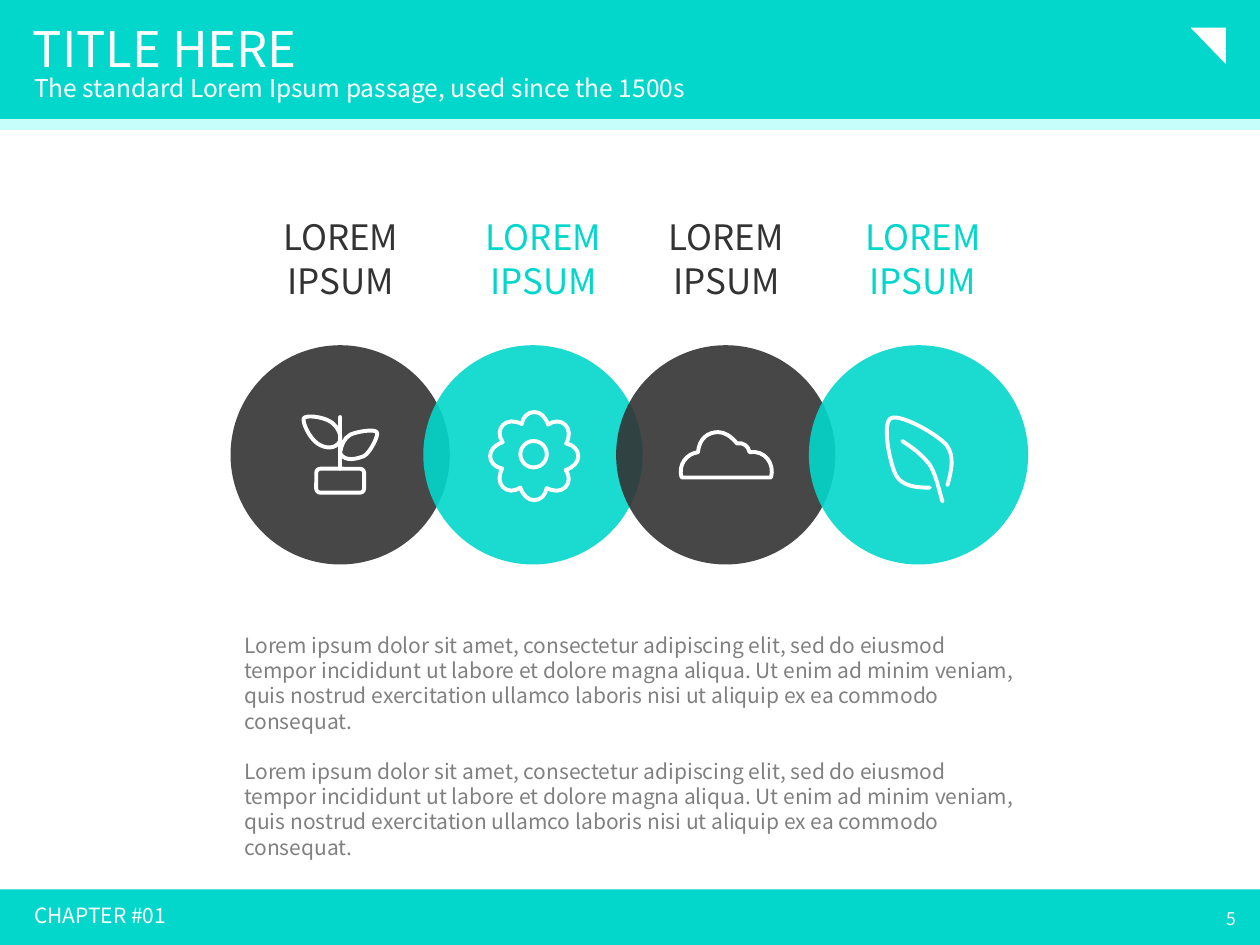
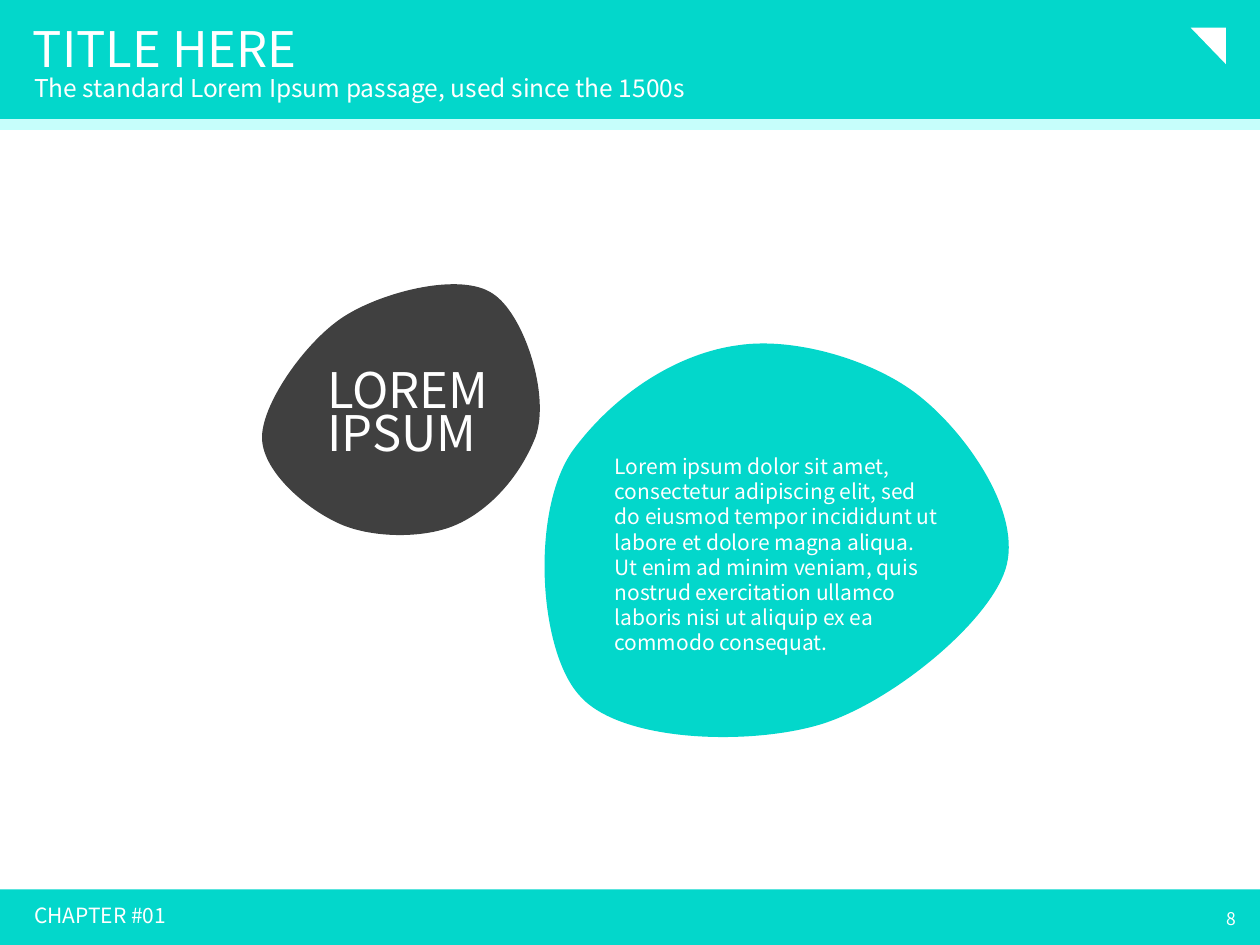
import math
from dataclasses import dataclass

import lxml.etree
import pptx
import pptx.dml.color
import pptx.enum.shapes
import pptx.enum.text
import pptx.oxml.ns
import pptx.shapes.base
import pptx.slide
import pptx.util

Inches = pptx.util.Inches
Pt = pptx.util.Pt
Color = pptx.dml.color.RGBColor
Kind = pptx.enum.shapes.MSO_SHAPE
Align = pptx.enum.text.PP_ALIGN
Anchor = pptx.enum.text.MSO_ANCHOR
Shape = pptx.shapes.base.BaseShape
Slide = pptx.slide.Slide
Point = tuple[float, float]
qn = pptx.oxml.ns.qn

FONT = "Noto Sans CJK KR"
TEAL = Color(0x03, 0xD7, 0xCB)
PALE = Color(0xC6, 0xFE, 0xFB)
DARK = Color(0x33, 0x33, 0x33)
COAL = Color(0x40, 0x40, 0x40)
GREY = Color(0x80, 0x80, 0x80)
WHITE = Color(0xFF, 0xFF, 0xFF)

LOREM = (
    "Lorem ipsum dolor sit amet, consectetur adipiscing elit, sed do eiusmod "
    "tempor incididunt ut labore et dolore magna aliqua. Ut enim ad minim veniam, "
    "quis nostrud exercitation ullamco laboris nisi ut aliquip ex ea commodo consequat."
)
LABEL = ["LOREM", "IPSUM"]


@dataclass(frozen=True)
class Box:
    left: float
    top: float
    width: float
    height: float

    def emu(self) -> list[int]:
        return [Inches(n) for n in (self.left, self.top, self.width, self.height)]


@dataclass(frozen=True)
class Style:
    size: float
    color: Color = WHITE
    align: Align = Align.LEFT
    anchor: Anchor = Anchor.TOP
    line: float | pptx.util.Length | None = None
    after: float = 0


@dataclass(frozen=True)
class Field:
    """A placeholder that every slide fills."""
    index: int
    box: Box
    text: str
    style: Style


@dataclass(frozen=True)
class Curve:
    """A start point followed by three points for each Bezier piece."""
    points: list[Point]
    close: bool = False


@dataclass(frozen=True)
class Disc:
    color: Color
    label: float


FIELDS = [
    Field(0, Box(0.16, 0.13, 8.62, 0.41), "TITLE HERE", Style(28, line=Pt(31))),
    Field(1, Box(0.17, 0.56, 8.79, 0.31),
          "The standard Lorem Ipsum passage, used since the 1500s",
          Style(14, anchor=Anchor.MIDDLE, line=0.9)),
    Field(3, Box(0.17, 7.15, 3.59, 0.25), "CHAPTER #01",
          Style(12, anchor=Anchor.MIDDLE, line=0.9)),
]
PAGE = Style(10, align=Align.RIGHT, anchor=Anchor.MIDDLE)

DISCS = [Disc(DARK, 1.91), Disc(TEAL, 3.52), Disc(DARK, 4.97), Disc(TEAL, 6.53)]
SIZE, STEP = 1.74, 1.53

LEAVES = [
    Curve([(2.7, 3.48), (2.71, 3.44), (2.66, 3.36), (2.61, 3.34),
           (2.56, 3.31), (2.43, 3.29), (2.41, 3.32),
           (2.4, 3.35), (2.45, 3.47), (2.52, 3.52),
           (2.58, 3.56), (2.66, 3.57), (2.7, 3.5)]),
    Curve([(2.7, 3.59), (2.71, 3.53), (2.73, 3.48), (2.78, 3.45),
           (2.82, 3.43), (2.97, 3.4), (2.99, 3.43),
           (3.01, 3.45), (2.94, 3.59), (2.89, 3.62),
           (2.84, 3.64), (2.74, 3.67), (2.7, 3.6)]),
]
PETAL = [(-0.09, -0.31), (-0.05, -0.35), (0, -0.35),
         (0.05, -0.35), (0.09, -0.31), (0.11, -0.25)]
CLOUD = Curve([(5.41, 3.79), (5.38, 3.69), (5.45, 3.6), (5.54, 3.59),
               (5.55, 3.48), (5.62, 3.43), (5.7, 3.43),
               (5.75, 3.43), (5.8, 3.46), (5.85, 3.52),
               (5.9, 3.51), (5.94, 3.54), (5.95, 3.59),
               (6.07, 3.57), (6.15, 3.68), (6.12, 3.79)], True)
BLADE = [
    Curve([(7.38, 3.87), (7.27, 3.87), (7.16, 3.86), (7.11, 3.77),
           (7.06, 3.67), (7, 3.36), (7.07, 3.32),
           (7.14, 3.28), (7.43, 3.44), (7.51, 3.53),
           (7.58, 3.62), (7.55, 3.74), (7.52, 3.85)]),
    Curve([(7.16, 3.5), (7.24, 3.55), (7.32, 3.61), (7.38, 3.69),
           (7.43, 3.77), (7.45, 3.88), (7.48, 3.98)]),
]
BIG = Curve([(5.86, 2.74), (6.32, 2.67), (6.98, 2.87), (7.33, 3.17),
             (7.68, 3.46), (8.12, 4.08), (7.98, 4.52),
             (7.84, 4.95), (7.07, 5.58), (6.51, 5.75),
             (5.94, 5.92), (4.92, 5.89), (4.6, 5.52),
             (4.27, 5.16), (4.21, 4.04), (4.55, 3.57),
             (4.9, 3.1), (5.4, 2.8), (5.86, 2.74)], True)
SMALL = Curve([(3.61, 4.17), (3.35, 4.28), (2.93, 4.27), (2.68, 4.15),
               (2.42, 4.03), (2.07, 3.73), (2.08, 3.46),
               (2.09, 3.18), (2.45, 2.68), (2.75, 2.5),
               (3.06, 2.31), (3.66, 2.16), (3.91, 2.33),
               (4.16, 2.49), (4.37, 3.14), (4.25, 3.47),
               (4.12, 3.8), (3.87, 4.06), (3.61, 4.17)], True)


def write(shape: Shape, lines: list[str], style: Style) -> None:
    frame = shape.text_frame
    frame.word_wrap = True
    frame.auto_size = pptx.enum.text.MSO_AUTO_SIZE.NONE
    frame.vertical_anchor = style.anchor
    frame.text = "\n".join(lines)
    for para in frame.paragraphs:
        para.alignment = style.align
        para.line_spacing = style.line
        para.space_before = Pt(0)
        para.space_after = Pt(style.after)
        font = para.font
        font.name, font.size, font.bold = FONT, Pt(style.size), False
        font.color.rgb = style.color


def add_text(slide: Slide, box: Box, lines: list[str], style: Style) -> None:
    write(slide.shapes.add_textbox(*box.emu()), lines, style)


def paint(shape: Shape, color: Color, alpha: int = 100) -> Shape:
    """Fill flat, with no outline or shadow."""
    shape.shadow.inherit = False
    shape.fill.solid()
    shape.fill.fore_color.rgb = color
    shape.line.fill.background()
    if alpha < 100:
        tone = shape.element.spPr.find(qn("a:solidFill"))[0]
        lxml.etree.SubElement(tone, qn("a:alpha"), val=str(alpha * 1000))
    return shape


def stroke(shape: Shape) -> Shape:
    """Outline an icon part in white, unfilled."""
    shape.shadow.inherit = False
    shape.fill.background()
    shape.line.color.rgb = WHITE
    shape.line.width = Pt(2.25)
    shape.line._get_or_add_ln().set("cap", "rnd")
    return shape


def add_shape(slide: Slide, kind: Kind, box: Box) -> Shape:
    return slide.shapes.add_shape(kind, *box.emu())


def add_line(slide: Slide, start: Point, end: Point, color: Color, width: float) -> Shape:
    ends = [Inches(n) for n in (*start, *end)]
    line = slide.shapes.add_connector(pptx.enum.shapes.MSO_CONNECTOR.STRAIGHT, *ends)
    line.line.color.rgb = color
    line.line.width = Pt(width)
    lxml.etree.SubElement(line.element.spPr, qn("a:effectLst"))
    return line


def add_curve(slide: Slide, curve: Curve) -> Shape:
    """Build a polygon of control points, then join each three into a Bezier."""
    first, *rest = [(Inches(x), Inches(y)) for x, y in curve.points]
    pen = slide.shapes.build_freeform(*first)
    pen.add_line_segments(rest, close=curve.close)
    shape = pen.convert_to_shape()
    legs = list(shape.element.iter(qn("a:lnTo")))
    for i in range(0, len(legs), 3):
        bend = lxml.etree.Element(qn("a:cubicBezTo"))
        legs[i].addprevious(bend)
        for leg in legs[i:i + 3]:
            bend.append(leg[0])
            leg.getparent().remove(leg)
    return shape


def flower(x: float, y: float) -> Curve:
    """Turn one petal around the centre eight times."""
    points = [(x + PETAL[-1][0], y + PETAL[-1][1])]
    for turn in range(1, 9):
        cos, sin = math.cos(turn * math.pi / 4), math.sin(turn * math.pi / 4)
        points += [(x + a * cos - b * sin, y + a * sin + b * cos) for a, b in PETAL]
    return Curve(points, True)


def add_bands(slide: Slide, layout: pptx.slide.SlideLayout) -> None:
    """Draw the shared bands and move them to the layout."""
    foot = paint(add_shape(slide, Kind.RECTANGLE, Box(-0.01, 7.06, 10.01, 0.44)), TEAL)
    head = paint(add_shape(slide, Kind.RECTANGLE, Box(0, 0, 10, 1.02)), TEAL)
    flag = paint(add_shape(slide, Kind.ISOSCELES_TRIANGLE, Box(9.45, 0.22, 0.28, 0.29)), WHITE)
    flag.adjustments[0] = 0
    flag.rotation = 180
    rule = add_line(slide, (-0.02, 0.99), (10, 0.99), PALE, 6)
    for shape in (foot, head, flag, rule):
        layout.shapes.element.append(shape.element)


def add_slide(deck, layout: pptx.slide.SlideLayout, page: str) -> Slide:
    slide = deck.slides.add_slide(layout)
    for field in FIELDS:
        holder = slide.placeholders[field.index]
        holder.left, holder.top, holder.width, holder.height = field.box.emu()
        write(holder, [field.text], field.style)
    add_text(slide, Box(7.66, 7.09, 2.25, 0.4), [page], PAGE)
    return slide


def draw_chain(slide: Slide) -> None:
    for i, disc in enumerate(DISCS):
        style = Style(20, disc.color, Align.CENTER, line=Pt(25))
        add_text(slide, Box(disc.label, 1.65, 1.59, 0.82), LABEL, style)
        box = Box(1.83 + i * STEP, 2.74, SIZE, SIZE)
        paint(add_shape(slide, Kind.OVAL, box), disc.color, 90)

    plant = [stroke(add_curve(slide, leaf)) for leaf in LEAVES]
    plant.append(add_line(slide, (2.7, 3.31), (2.7, 3.72), WHITE, 2.25))
    plant[-1].line._get_or_add_ln().set("cap", "rnd")
    plant.append(stroke(add_shape(slide, Kind.ROUNDED_RECTANGLE, Box(2.51, 3.72, 0.38, 0.19))))
    bloom = [stroke(add_curve(slide, flower(4.24, 3.62))),
             stroke(add_shape(slide, Kind.OVAL, Box(4.13, 3.5, 0.21, 0.21)))]
    stroke(add_curve(slide, CLOUD))
    blade = [stroke(add_curve(slide, part)) for part in BLADE]
    for icon in (plant, bloom, blade):
        slide.shapes.add_group_shape(icon)

    style = Style(12, GREY, line=Pt(14.4), after=14.4)
    add_text(slide, Box(1.84, 4.97, 6.35, 1.91), [LOREM, LOREM], style)


def draw_blobs(slide: Slide) -> None:
    paint(add_curve(slide, BIG), TEAL)
    paint(add_curve(slide, SMALL), COAL)
    add_text(slide, Box(4.78, 3.55, 2.78, 1.72), [LOREM], Style(12, line=Pt(14.4)))
    add_text(slide, Box(2.5, 2.92, 1.59, 0.82), LABEL, Style(28, line=Pt(25)))


def main() -> None:
    deck = pptx.Presentation()
    deck.slide_width, deck.slide_height = Inches(10), Inches(7.5)
    layout = deck.slide_layouts.get_by_name("Comparison")
    used = {field.index for field in FIELDS}
    for holder in list(layout.placeholders):
        if holder.placeholder_format.idx not in used:
            layout.shapes.element.remove(holder.element)
    chain = add_slide(deck, layout, "5")
    add_bands(chain, layout)
    draw_chain(chain)
    draw_blobs(add_slide(deck, layout, "8"))
    deck.save("out.pptx")


if __name__ == "__main__":
    main()
